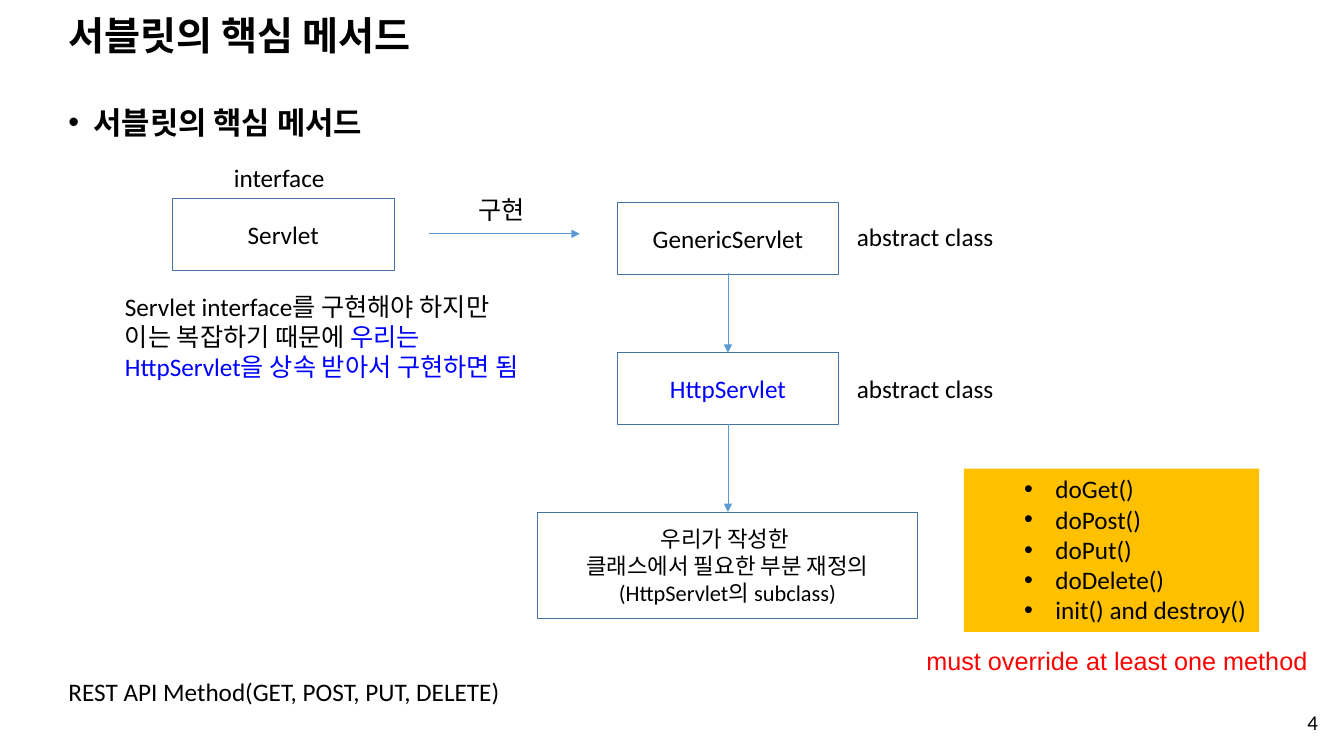
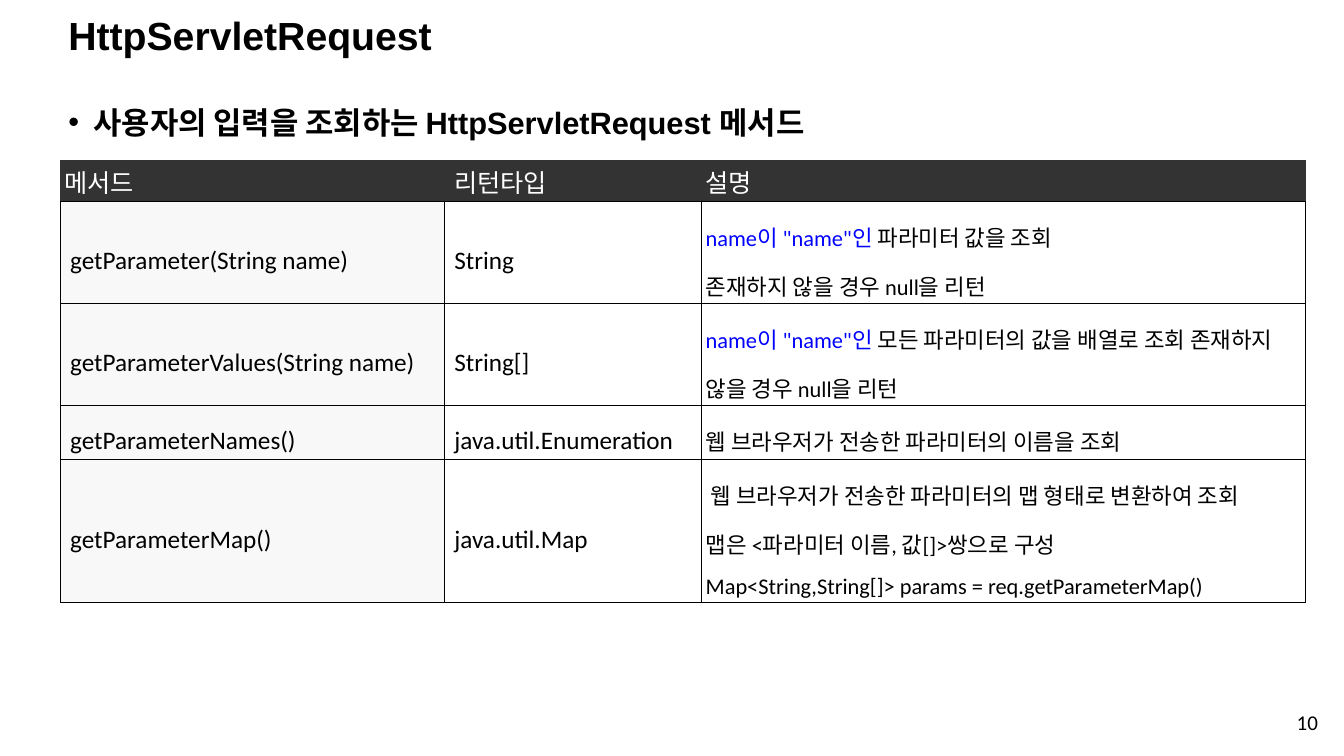
from dataclasses import dataclass
from typing import Any, NamedTuple, Optional

from lxml.etree import SubElement
from pptx import Presentation
from pptx.dml.color import RGBColor
from pptx.enum.shapes import MSO_CONNECTOR, MSO_SHAPE
from pptx.enum.text import MSO_ANCHOR, MSO_AUTO_SIZE, PP_ALIGN
from pptx.oxml.ns import qn
from pptx.util import Inches, Pt

BLACK = "000000"
WHITE = "FFFFFF"
BLUE = "0000FF"
RED = "FF0000"
GOLD = "FFC000"
OUTLINE = "43739E"
ARROW = "5B9BD5"
HEADER_FILL = "333333"
METHOD_FILL = "F8F8F8"
NBSP = "\u00a0"


class Span(NamedTuple):
    text: str
    color: str = BLACK


class Place(NamedTuple):
    left: float
    top: float
    width: float
    height: float


class Arrow(NamedTuple):
    start: tuple[float, float]
    end: tuple[float, float]


Lines = list[list[Span]]


@dataclass(frozen=True)
class Style:
    size: float = 18
    font: str = "Calibri"
    bold: bool = False
    align: PP_ALIGN = PP_ALIGN.LEFT
    anchor: MSO_ANCHOR = MSO_ANCHOR.TOP
    wrap: bool = False
    spacing: Optional[float] = None
    before: Optional[float] = None
    level: int = 0
    bullet: Optional[tuple[float, float]] = None


@dataclass(frozen=True)
class Box:
    place: Place
    lines: Lines
    style: Style
    fill: Optional[str] = None
    outline: Optional[str] = None


LABEL = Style()
TITLE = Style(28, "Arial", True, anchor=MSO_ANCHOR.MIDDLE, wrap=True, spacing=0.9)
HEADING = Style(22, "Arial", True, wrap=True, spacing=1.4, before=10, bullet=(0.25, -0.25))
NUMBER = Style(15, align=PP_ALIGN.RIGHT, anchor=MSO_ANCHOR.MIDDLE, wrap=True)
CLASS_NAME = Style(align=PP_ALIGN.CENTER, anchor=MSO_ANCHOR.MIDDLE, wrap=True)
SUBCLASS = Style(16, align=PP_ALIGN.CENTER, anchor=MSO_ANCHOR.MIDDLE, wrap=True)
METHOD_LIST = Style(wrap=True, level=1, bullet=(0.81, -0.31))
WARNING = Style(font="Arial")
HEADER_CELL = Style(anchor=MSO_ANCHOR.MIDDLE, wrap=True)
NAME_CELL = Style(anchor=MSO_ANCHOR.MIDDLE, wrap=True, spacing=1.5)
DETAIL_CELL = Style(16, anchor=MSO_ANCHOR.MIDDLE, wrap=True, spacing=1.5)


def rgb(value: str) -> RGBColor:
    return RGBColor.from_string(value)


def plain(*texts: str, color: str = BLACK) -> Lines:
    return [[Span(text, color)] for text in texts]


def apply(target: Any, values: dict[str, Any]) -> None:
    for name, value in values.items():
        if value is not None:
            setattr(target, name, value)


def write(frame: Any, lines: Lines, style: Style) -> None:
    for index, line in enumerate(lines):
        para = frame.add_paragraph() if index else frame.paragraphs[0]
        apply(para, {
            "alignment": style.align,
            "level": style.level,
            "line_spacing": style.spacing,
            "space_before": None if style.before is None else Pt(style.before),
        })
        if style.bullet:
            margin, indent = style.bullet
            properties = para._p.get_or_add_pPr()
            properties.set("marL", str(Inches(margin)))
            properties.set("indent", str(Inches(indent)))
            SubElement(properties, qn("a:buFont")).set("typeface", "Arial")
            SubElement(properties, qn("a:buChar")).set("char", "•")
        for part in line:
            span = para.add_run()
            span.text = part.text
            apply(span.font, {"size": Pt(style.size), "name": style.font, "bold": style.bold})
            span.font.color.rgb = rgb(part.color)


def draw_box(page: Any, box: Box) -> None:
    bounds = [Inches(length) for length in box.place]
    if box.fill or box.outline:
        shape = page.shapes.add_shape(MSO_SHAPE.RECTANGLE, *bounds)
        shape.shadow.inherit = False
    else:
        shape = page.shapes.add_textbox(*bounds)
    if box.fill:
        shape.fill.solid()
        shape.fill.fore_color.rgb = rgb(box.fill)
    else:
        shape.fill.background()
    if box.outline:
        shape.line.color.rgb = rgb(box.outline)
        shape.line.width = Pt(0.75)
    else:
        shape.line.fill.background()
    apply(shape.text_frame, {
        "word_wrap": box.style.wrap,
        "vertical_anchor": box.style.anchor,
        "auto_size": MSO_AUTO_SIZE.NONE if box.style.wrap else MSO_AUTO_SIZE.SHAPE_TO_FIT_TEXT,
    })
    write(shape.text_frame, box.lines, box.style)


def draw_arrow(page: Any, arrow: Arrow) -> None:
    ends = [Inches(length) for length in (*arrow.start, *arrow.end)]
    connector = page.shapes.add_connector(MSO_CONNECTOR.STRAIGHT, *ends)
    connector.line.color.rgb = rgb(ARROW)
    connector.line.width = Pt(0.5)
    properties = connector.element.spPr
    SubElement(properties.find(qn("a:ln")), qn("a:tailEnd")).set("type", "triangle")
    SubElement(properties, qn("a:effectLst"))


def draw_cell(cell: Any, lines: Lines, style: Style, fill: str, edges: str) -> None:
    apply(cell, {
        "margin_left": Inches(0.04),
        "margin_top": Inches(0.03),
        "margin_right": Inches(0.04),
        "margin_bottom": Inches(0.02),
        "vertical_anchor": style.anchor,
    })
    properties = cell._tc.get_or_add_tcPr()
    for edge in "LRTB":
        border = SubElement(properties, qn(f"a:ln{edge}"))
        if edge in edges:
            border.set("w", str(Pt(1)))
            paint = SubElement(border, qn("a:solidFill"))
            SubElement(paint, qn("a:srgbClr")).set("val", BLACK)
        else:
            SubElement(border, qn("a:noFill"))
    cell.fill.solid()
    cell.fill.fore_color.rgb = rgb(fill)
    write(cell.text_frame, lines, style)


def add_page(deck: Any, title: str, heading: str, number: int) -> Any:
    page = deck.slides.add_slide(deck.slide_layouts[6])
    for box in (
        Box(Place(0.58, 0.18, 11.5, 0.38), plain(title), TITLE),
        Box(Place(0.58, 0.83, 12.14, 6.28), plain(heading), HEADING),
        Box(Place(9.42, 6.95, 3.75, 0.42), plain(str(number)), NUMBER),
    ):
        draw_box(page, box)
    return page


def class_box(left: float, top: float, name: str, color: str = BLACK) -> Box:
    return Box(Place(left, top, 2.2, 0.71), plain(name, color=color), CLASS_NAME, outline=OUTLINE)


def draw_hierarchy(page: Any) -> None:
    explanation = [
        [Span("Servlet interface를 구현해야 하지만")],
        [Span("이는 복잡하기 때문에 "), Span("우리는", BLUE)],
        [Span("HttpServlet을 상속 받아서 구현하면 됨", BLUE)],
    ]
    subclass = plain("우리가 작성한 ", "클래스에서 필요한 부분 재정의", "(HttpServlet의 subclass)")
    methods = plain("doGet()", "doPost()", "doPut()", "doDelete()", "init() and destroy()")
    boxes = [
        class_box(1.71, 1.97, "Servlet"),
        class_box(6.12, 2.01, "GenericServlet"),
        class_box(6.12, 3.5, "HttpServlet", BLUE),
        Box(Place(5.33, 5.08, 3.77, 1.06), subclass, SUBCLASS, outline=OUTLINE),
        Box(Place(9.56, 4.65, 2.93, 1.62), methods, METHOD_LIST, fill=GOLD),
        Box(Place(2.22, 1.56, 1.19, 0.4), plain("interface"), LABEL),
        Box(Place(4.65, 1.88, 0.71, 0.4), plain("구현"), LABEL),
        Box(Place(1.14, 2.84, 4.62, 1.01), explanation, LABEL),
        Box(Place(0.58, 6.66, 4.52, 0.4), plain("REST API Method(GET, POST, PUT, DELETE)"), LABEL),
        Box(Place(9.09, 6.35, 4.02, 0.4),
            plain("must override at least one method", color=RED), WARNING),
    ]
    boxes += [Box(Place(8.4, top, 1.73, 0.4), plain("abstract class"), LABEL) for top in (2.15, 3.65)]
    for box in boxes:
        draw_box(page, box)
    for arrow in (
        Arrow((4.25, 2.32), (5.75, 2.32)),
        Arrow((7.22, 2.71), (7.22, 3.5)),
        Arrow((7.22, 4.21), (7.22, 5.08)),
    ):
        draw_arrow(page, arrow)


def draw_methods(page: Any) -> None:
    header = ("메서드", f"{NBSP}리턴타입", f"설명{NBSP}")
    key = Span('name이 "name"인 ', BLUE)
    rows = [
        ("getParameter(String name)", "String",
         [[key, Span("파라미터 값을 조회")], [Span("존재하지 않을 경우 null을 리턴")]]),
        ("getParameterValues(String name)", "String[]",
         [[key, Span("모든 파라미터의 값을 배열로 조회 존재하지 않을 경우 null을 리턴")]]),
        ("getParameterNames()", "java.util.Enumeration",
         plain("웹 브라우저가 전송한 파라미터의 이름을 조회")),
        ("getParameterMap()", "java.util.Map",
         plain(f"{NBSP}웹 브라우저가 전송한 파라미터의 맵 형태로 변환하여 조회",
               "맵은 <파라미터 이름, 값[]>쌍으로 구성",
               "Map<String,String[]> params = req.getParameterMap()")),
    ]
    widths = (3.81, 2.55, 5.99)
    heights = (0.41, 1.01, 1.01, 0.54, 1.42)
    bounds = [Inches(length) for length in (0.6, 1.59, sum(widths), sum(heights))]
    table = page.shapes.add_table(len(heights), len(widths), *bounds).table
    apply(table, {"first_row": False, "horz_banding": False})
    for column, width in zip(table.columns, widths):
        column.width = Inches(width)
    for row, height in zip(table.rows, heights):
        row.height = Inches(height)
    for index, text in enumerate(header):
        draw_cell(table.cell(0, index), plain(text, color=WHITE), HEADER_CELL, HEADER_FILL, "B")
    for index, (method, result, details) in enumerate(rows, 1):
        contents = (
            (plain(NBSP + method), NAME_CELL, METHOD_FILL),
            (plain(NBSP + result), NAME_CELL, WHITE),
            (details, DETAIL_CELL, WHITE),
        )
        for column, (lines, style, fill) in enumerate(contents):
            draw_cell(table.cell(index, column), lines, style, fill, "LRTB")


def main() -> None:
    deck = Presentation()
    apply(deck, {"slide_width": Inches(13.33), "slide_height": Inches(7.5)})
    draw_hierarchy(add_page(deck, "서블릿의 핵심 메서드", "서블릿의 핵심 메서드", 4))
    draw_methods(add_page(
        deck, "HttpServletRequest", "사용자의 입력을 조회하는 HttpServletRequest 메서드", 10))
    deck.save("out.pptx")


main()
